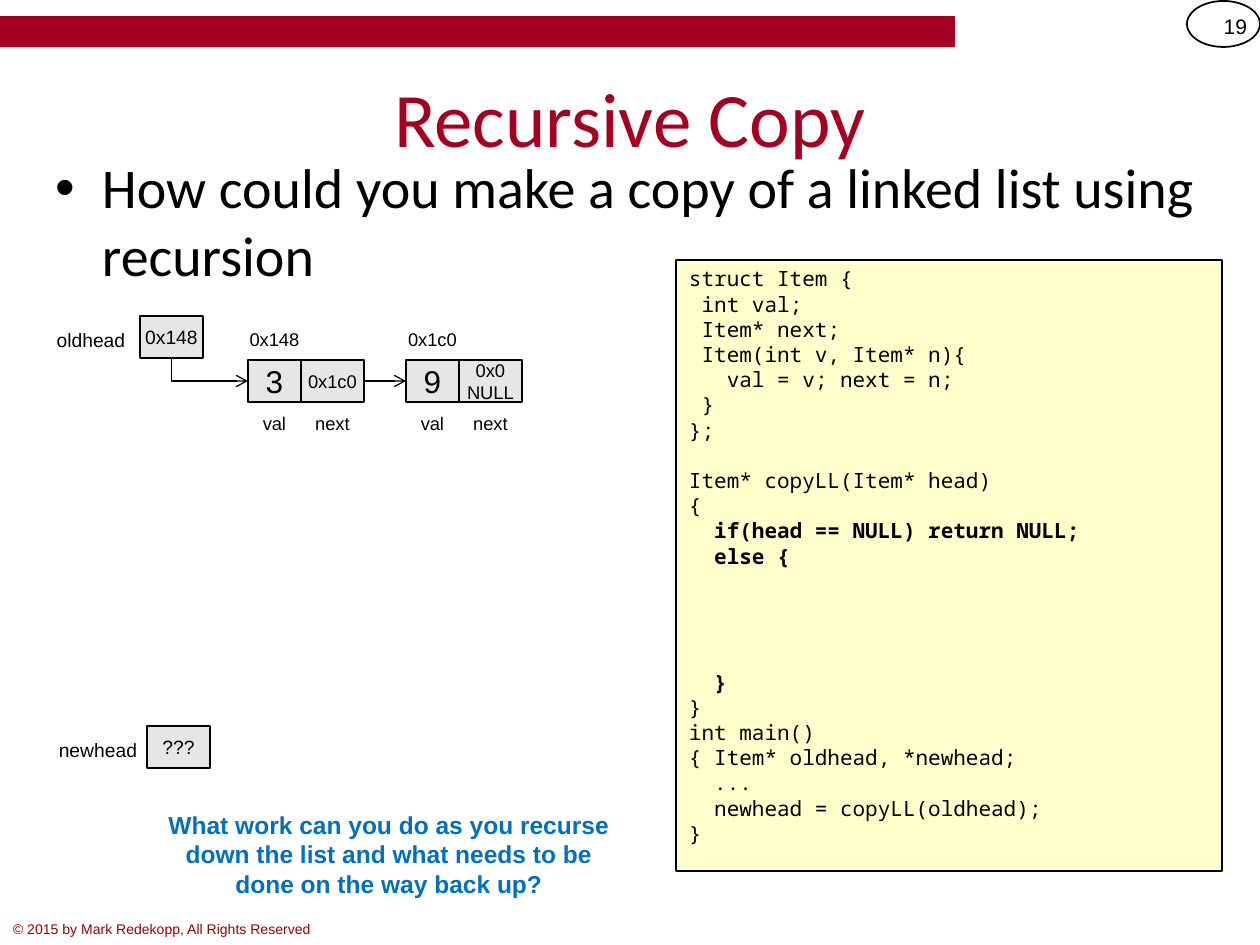
from lxml.etree import SubElement
from pptx import Presentation
from pptx.dml.color import RGBColor
from pptx.enum.shapes import MSO_CONNECTOR as Link, MSO_SHAPE as Shape
from pptx.enum.text import MSO_ANCHOR as Anchor, PP_ALIGN as Align
from pptx.oxml.ns import qn
from pptx.util import Emu, Pt

CARDINAL, BLACK, GREY = "A50021", "000000", "E6E6E6"
CELL_HEIGHT, VALUE_WIDTH, NEXT_WIDTH = 42, 53, 63
LIST_TOP = 360
CODE = """struct Item {
 int val;
 Item* next;
 Item(int v, Item* n){
   val = v; next = n;
 }
};

Item* copyLL(Item* head)
{
  if(head == NULL) return NULL;
  else {




  }
}
int main()
{ Item* oldhead, *newhead;
  ...
  newhead = copyLL(oldhead);
}"""
BOLD_LINES = ("  if(head == NULL) return NULL;", "  else {", "  }")


def px(length):
    return Emu(round(length * 914400 / 126))


def color(value):
    return RGBColor.from_string(value)


class SlideBuilder:
    """Holds the house style and the slide being drawn."""

    def __init__(self, slide, font="Arial", ink=BLACK, line_width=0.75):
        self.shapes = slide.shapes
        self.font, self.ink, self.line_width = font, ink, line_width

    def set_text(self, shape, text, size, align=Align.CENTER, anchor=Anchor.MIDDLE,
                 inset=(0, 6), font=None, ink=None, bold=False):
        frame = shape.text_frame
        frame.word_wrap = True
        frame.vertical_anchor = anchor
        frame.margin_left = frame.margin_right = px(inset[0])
        frame.margin_top = frame.margin_bottom = px(inset[1])
        for number, line in enumerate(text.split("\n")):
            para = frame.add_paragraph() if number else frame.paragraphs[0]
            para.text = line
            para.alignment = align
            para.font.size = Pt(size)
            para.font.name = font or self.font
            para.font.bold = bold
            para.font.color.rgb = color(ink or self.ink)
        return frame

    def text(self, text, x, y, width, height, size, **style):
        box = self.shapes.add_textbox(px(x), px(y), px(width), px(height))
        return self.set_text(box, text, size, **style)

    def bullet(self, text, x, y, width, height, size, indent, font):
        box = self.shapes.add_textbox(px(x), px(y), px(width), px(height))
        properties = box.text_frame.paragraphs[0]._p.get_or_add_pPr()
        properties.set("marL", str(px(indent)))
        properties.set("indent", str(-px(indent)))
        SubElement(properties, qn("a:buFont"), typeface="Arial")
        SubElement(properties, qn("a:buChar"), char="•")
        self.set_text(box, text, size, align=Align.LEFT, anchor=Anchor.TOP,
                      inset=(13, 6), font=font)

    def shape(self, x, y, width, height, fill=None, line=BLACK,
              kind=Shape.RECTANGLE, line_width=None):
        shape = self.shapes.add_shape(kind, px(x), px(y), px(width), px(height))
        shape.shadow.inherit = False
        if fill:
            shape.fill.solid()
            shape.fill.fore_color.rgb = color(fill)
        else:
            shape.fill.background()
        if line:
            shape.line.color.rgb = color(line)
            shape.line.width = Pt(line_width or self.line_width)
        else:
            shape.line.fill.background()
        return shape

    def cell(self, text, x, y, width, size):
        box = self.shape(x, y, width, CELL_HEIGHT, GREY)
        self.set_text(box, text, size)
        return box

    def code(self, text, x, y, width, height, size, fill):
        box = self.shape(x, y, width, height, fill)
        frame = self.set_text(box, text, size, align=Align.LEFT, anchor=Anchor.TOP,
                              inset=(13, 6), font="Noto Sans Mono")
        for para in frame.paragraphs:
            para.line_spacing = Pt(size * 1.2)
            para.font.bold = para.text in BOLD_LINES

    def node(self, address, value, following, x):
        next_x = x + VALUE_WIDTH
        self.text(address, x, LIST_TOP - 42, VALUE_WIDTH, CELL_HEIGHT, 10.5)
        value_cell = self.cell(value, x, LIST_TOP, VALUE_WIDTH, 18)
        next_cell = self.cell(following, next_x, LIST_TOP, NEXT_WIDTH, 10.5)
        for name, left, width in (("val", x, VALUE_WIDTH), ("next", next_x, NEXT_WIDTH)):
            self.text(name, left, LIST_TOP + CELL_HEIGHT, width, CELL_HEIGHT, 10.5)
        return value_cell, next_cell

    def pointer(self, name, value, x, y):
        box = self.cell(value, x, y, NEXT_WIDTH, 11)
        self.text(name, x - 98, y + 3, 98, 41, 11)
        return box

    def arrow(self, source, source_side, target, target_side, kind=Link.STRAIGHT):
        link = self.shapes.add_connector(kind, 0, 0, 0, 0)
        link.begin_connect(source, source_side)
        link.end_connect(target, target_side)
        link.line.color.rgb = color(self.ink)
        link.line.width = Pt(self.line_width)
        properties = link._element.spPr
        SubElement(properties.find(qn("a:ln")), qn("a:tailEnd"), type="arrow")
        SubElement(properties, qn("a:effectLst"))
        return link

    def corner_arrow(self, source, target):
        link = self.arrow(source, 2, target, 1, Link.ELBOW)
        left, top, width, height = link.left, link.top, link.width, link.height
        link.left = left + (width - height) // 2
        link.top = top + (height - width) // 2
        link.width, link.height = height, width
        properties = link._element.spPr
        frame = properties.find(qn("a:xfrm"))
        frame.set("rot", "16200000")
        frame.set("flipH", "1")
        properties.find(qn("a:prstGeom")).set("prst", "bentConnector2")


def main():
    deck = Presentation()
    deck.slide_width, deck.slide_height = px(1260), px(945)
    page = SlideBuilder(deck.slides.add_slide(deck.slide_layouts[6]))

    page.shape(0, 16, 955, 31, CARDINAL, line=None)
    page.shape(1187, 1, 73, 46, kind=Shape.OVAL, line_width=1)
    page.text("19", 1187, 1, 73, 51, 12, align=Align.RIGHT, inset=(13, 6))
    page.text("© 2015 by Mark Redekopp, All Rights Reserved", 0, 915, 672, 30, 8,
              align=Align.LEFT, anchor=Anchor.TOP, inset=(13, 6), ink="990000")
    page.text("Recursive Copy", 63, 38, 1134, 157, 44, font="Calibri", ink=CARDINAL)
    page.bullet("How could you make a copy of a linked list using recursion",
                42, 147, 1176, 71, 32, 47, "Calibri")
    page.code(CODE, 676, 260, 546, 611, 12, "FFFFCC")

    first_value, first_next = page.node("0x148", "3", "0x1c0", 248)
    second_value, _ = page.node("0x1c0", "9", "0x0\vNULL", 406)
    old_head = page.pointer("oldhead", "0x148", 140, 316)
    page.pointer("newhead", "???", 147, 726)
    page.corner_arrow(old_head, first_value)
    page.arrow(first_next, 3, second_value, 1)

    page.text("What work can you do as you recurse down the list and what needs "
              "to be done on the way back up?", 144, 801, 490, 106, 14,
              inset=(13, 6), ink="0070C0", bold=True)
    deck.save("out.pptx")


if __name__ == "__main__":
    main()
